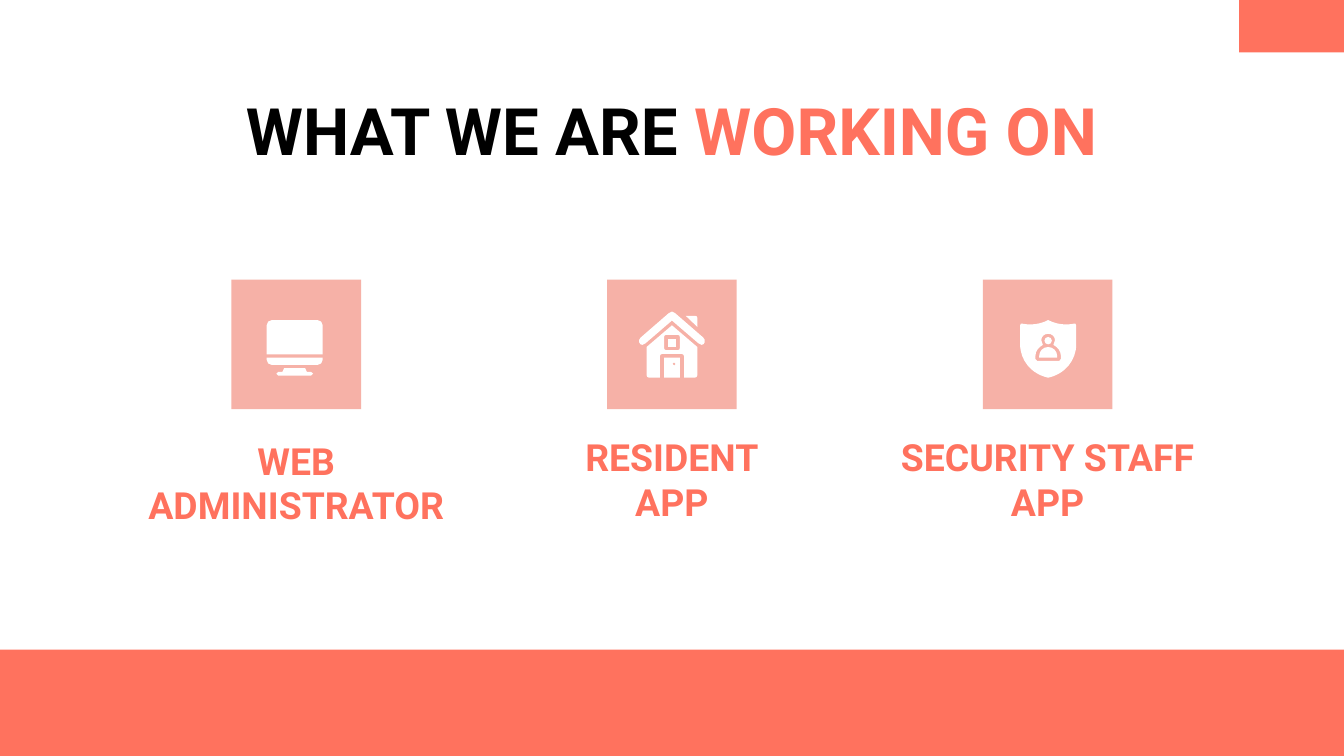
import lxml.etree
import pptx
import pptx.util
import pptx.dml.color
import pptx.enum.shapes
import pptx.enum.text
import pptx.oxml.ns

Cm = pptx.util.Cm
RGBColor = pptx.dml.color.RGBColor
Anchor = pptx.enum.text.MSO_ANCHOR
qn = pptx.oxml.ns.qn

CORAL = RGBColor(0xFF, 0x72, 0x5E)
PALE_CORAL = RGBColor(0xF6, 0xB1, 0xA7)
BLACK = RGBColor(0x00, 0x00, 0x00)
WHITE = RGBColor(0xFF, 0xFF, 0xFF)

FONT = "Roboto"
WIDTH, HEIGHT = 25.4, 14.29
TILE_SIZE = 2.45
TILE_CENTER_Y = 6.51
COLUMN_PITCH = 7.1
LABEL_WIDTH = 6.68


# Outlines: a pair is a corner, six numbers are a cubic curve to the last pair
def mirrored(half):
    """Close a right half with its reflection in the vertical axis."""
    contour = list(half)
    if half[-1][-2] != 0:
        contour.append((-half[-1][-2], half[-1][-1]))
    for previous, segment in reversed(list(zip(half, half[1:]))):
        x, y = previous[-2:]
        if len(segment) == 2:
            contour.append((-x, y))
        else:
            x1, y1, x2, y2 = segment[:4]
            contour.append((-x2, y2, -x1, y1, -x, y))
    return contour


def rounded_box(half_width, top, bottom, top_radius=0, bottom_radius=0):
    w, a, b = half_width, top_radius, bottom_radius
    half = [(w - a, top)]
    if a:
        half.append((w - a * 0.45, top, w, top + a * 0.45, w, top + a))
    if a + b < bottom - top:
        half.append((w, bottom - b))
    if b:
        half.append((w, bottom - b * 0.45, w - b * 0.45, bottom, w - b, bottom))
    return mirrored(half)


def circle(x, y, radius):
    r, k = radius, radius * 0.55
    return [(x, y - r), (x + k, y - r, x + r, y - k, x + r, y),
            (x + r, y + k, x + k, y + r, x, y + r),
            (x - k, y + r, x - r, y + k, x - r, y),
            (x - r, y - k, x - k, y - r, x, y - r)]


# Icons: each part is a list of contours in cm from the icon centre
MONITOR = [
    # Stand, chin, screen
    [mirrored([(0.2, 0.45), (0.23, 0.52), (0.31, 0.52),
               (0.36, 0.52, 0.36, 0.59, 0.31, 0.59)])],
    [rounded_box(0.53, 0.25, 0.39, 0, 0.1)],
    [rounded_box(0.53, -0.46, 0.19, 0.1, 0)],
]
HOUSE = [
    # Chimney, door with knob, window
    [[(0.26, -0.54), (0.43, -0.54), (0.46, -0.54, 0.48, -0.53, 0.48, -0.5),
      (0.48, -0.33)]],
    [rounded_box(0.15, 0.25, 0.63), circle(0.04, 0.37, 0.03)],
    [rounded_box(0.08, -0.1, 0.05)],
    # Roof
    [mirrored([(0, -0.62), (0.02, -0.62, 0.04, -0.61, 0.06, -0.59), (0.59, -0.13),
               (0.65, -0.08, 0.62, 0.01, 0.56, 0.01),
               (0.54, 0.01, 0.52, 0, 0.5, -0.02), (0, -0.45)])],
    # Walls with openings
    [mirrored([(0, -0.36), (0.48, 0.05), (0.48, 0.58),
               (0.48, 0.61, 0.46, 0.63, 0.43, 0.63), (0.23, 0.63), (0.23, 0.23),
               (0.23, 0.2, 0.21, 0.18, 0.18, 0.18)]),
     rounded_box(0.15, -0.18, 0.11, 0.04, 0.04)],
]
SHIELD = [
    # Bust, head, shield with the figure cut out
    [rounded_box(0.17, 0.05, 0.25, 0.17, 0)],
    [circle(0, -0.07, 0.07)],
    [mirrored([(0, -0.46), (0.15, -0.38, 0.33, -0.36, 0.48, -0.39),
               (0.51, -0.4, 0.53, -0.39, 0.53, -0.36), (0.53, 0),
               (0.53, 0.3, 0.32, 0.56, 0, 0.63)]),
     mirrored([(0, -0.2), (0.07, -0.2, 0.13, -0.15, 0.13, -0.08),
               (0.13, -0.04, 0.12, -0.02, 0.1, 0.01),
               (0.18, 0.05, 0.24, 0.13, 0.24, 0.21), (0.24, 0.28),
               (0.24, 0.3, 0.23, 0.31, 0.21, 0.31)])],
]


def paint(shape, color):
    shape.shadow.inherit = False
    shape.fill.solid()
    shape.fill.fore_color.rgb = color
    shape.line.fill.background()


def add_block(slide, left, top, width, height, color):
    shape = slide.shapes.add_shape(
        pptx.enum.shapes.MSO_SHAPE.RECTANGLE, Cm(left), Cm(top), Cm(width), Cm(height))
    paint(shape, color)


def bend_lines(shape, segments, center_x):
    """Turn the straight lines of a freeform into its cubic curves."""
    lines = list(shape.element.iter(qn("a:lnTo")))
    for line, segment in zip(lines, segments):
        if len(segment) == 2:
            continue
        line_end = line[0]
        curve = lxml.etree.SubElement(line.getparent(), qn("a:cubicBezTo"))
        for x, y in (segment[:2], segment[2:4]):
            lxml.etree.SubElement(curve, qn("a:pt"),
                                  x=str(Cm(center_x + x) - shape.left),
                                  y=str(Cm(TILE_CENTER_Y + y) - shape.top))
        curve.append(line_end)
        line.getparent().replace(line, curve)


def add_icon(slide, center_x, parts):
    group = slide.shapes.add_group_shape()
    for contours in parts:
        builder = None
        for contour in contours:
            points = [(Cm(center_x + segment[-2]), Cm(TILE_CENTER_Y + segment[-1]))
                      for segment in contour]
            if builder is None:
                builder = group.shapes.build_freeform(*points[0])
            else:
                builder.move_to(*points[0])
            builder.add_line_segments(points[1:], close=True)
        shape = builder.convert_to_shape()
        bend_lines(shape, [segment for contour in contours for segment in contour[1:]],
                   center_x)
        paint(shape, WHITE)


def add_heading(slide, left, top, width, size, anchor, lines):
    """Each line is a list of (text, color) runs."""
    shape = slide.shapes.add_textbox(Cm(left), Cm(top), Cm(width), Cm(1.24))
    frame = shape.text_frame
    frame.word_wrap = True
    frame.vertical_anchor = anchor
    frame.margin_left = frame.margin_right = Cm(0.25)
    frame.margin_top = frame.margin_bottom = Cm(0.25)
    paragraph = frame.paragraphs[0]
    paragraph.alignment = pptx.enum.text.PP_ALIGN.CENTER
    for index, line in enumerate(lines):
        if index:
            paragraph.add_line_break()
        for text, color in line:
            run = paragraph.add_run()
            run.text = text
            run.font.name = FONT
            run.font.size = pptx.util.Pt(size)
            run.font.bold = True
            run.font.color.rgb = color


def main():
    presentation = pptx.Presentation()
    presentation.slide_width, presentation.slide_height = Cm(WIDTH), Cm(HEIGHT)
    slide = presentation.slides.add_slide(presentation.slide_layouts[6])

    # Footer band and corner block
    add_block(slide, 0, 12.28, WIDTH, HEIGHT - 12.28, CORAL)
    add_block(slide, 23.42, 0, WIDTH - 23.42, 0.99, CORAL)

    # Title
    add_heading(slide, 1.66, 1.83, 22.07, 35, Anchor.MIDDLE,
                [[("WHAT WE ARE ", BLACK), ("WORKING ON", CORAL)]])

    # Product labels, spread evenly around the slide centre
    centers = [WIDTH / 2 + step * COLUMN_PITCH for step in (-1, 0, 1)]
    labels = [(8.98, ["WEB ADMINISTRATOR"]), (8.92, ["RESIDENT", "APP"]),
              (8.91, ["SECURITY STAFF", "APP"])]
    for center_x, (top, lines) in zip(centers, labels):
        add_heading(slide, center_x - LABEL_WIDTH / 2, top, LABEL_WIDTH, 20,
                    Anchor.BOTTOM, [[(line, CORAL)] for line in lines])

    # Product tiles with icons
    icons = [(MONITOR, -0.03), (HOUSE, 0), (SHIELD, 0.01)]
    for center_x, (icon, shift) in zip(centers, icons):
        add_block(slide, center_x - TILE_SIZE / 2, TILE_CENTER_Y - TILE_SIZE / 2,
                  TILE_SIZE, TILE_SIZE, PALE_CORAL)
        add_icon(slide, center_x + shift, icon)

    presentation.save("out.pptx")


if __name__ == "__main__":
    main()
